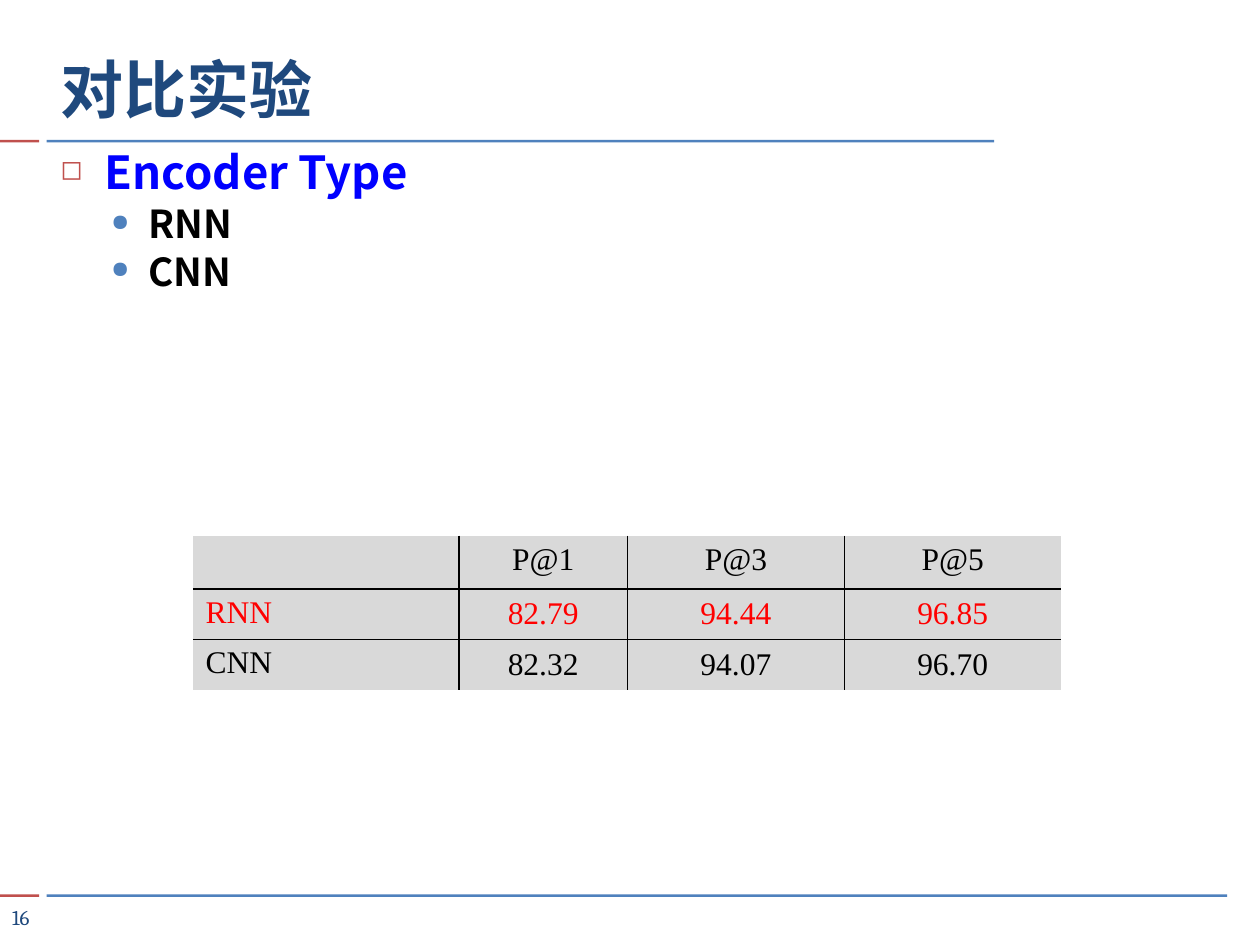
import pptx
import pptx.dml.color
import pptx.enum.shapes
import pptx.enum.text
import pptx.oxml
import pptx.oxml.ns
import pptx.util
import lxml.etree

Cm, Pt = pptx.util.Cm, pptx.util.Pt
ANCHOR = pptx.enum.text.MSO_ANCHOR
CENTER = pptx.enum.text.PP_ALIGN.CENTER
RED, BLUE, NAVY = "C0504D", "4F81BD", "1F497D"
HAN_FONT = "Noto Sans CJK SC"


def color(hex_string):
    return pptx.dml.color.RGBColor.from_string(hex_string)


def add_xml(parent, tag, **attributes):
    return lxml.etree.SubElement(parent, pptx.oxml.ns.qn(tag), **attributes)


def set_font(paragraph, name, size, hex_string, bold=False):
    font = paragraph.font
    font.name, font.size, font.bold = name, Pt(size), bold
    font.color.rgb = color(hex_string)


def add_frame(slide, left, top, width, height, anchor):
    frame = slide.shapes.add_textbox(Cm(left), Cm(top), Cm(width), Cm(height)).text_frame
    frame.word_wrap = True
    frame.vertical_anchor = anchor
    return frame


def add_rule(slide, top, right):
    """Short red bar, then a blue bar that runs to the right end."""
    blue_left = 0.94
    for left, width, fill in ((0, 0.79, RED), (blue_left, right - blue_left, BLUE)):
        bar = slide.shapes.add_shape(
            pptx.enum.shapes.MSO_SHAPE.RECTANGLE, Cm(left), Cm(top), Cm(width), Cm(0.05))
        bar.shadow.inherit = False
        bar.fill.solid()
        bar.fill.fore_color.rgb = color(fill)
        bar.line.fill.background()


def add_title(slide, left, top, width, height, text):
    heading = add_frame(slide, left, top, width, height, ANCHOR.BOTTOM).paragraphs[0]
    run = heading.add_run()
    run.text = text
    set_font(heading, "Cambria", 36, NAVY, bold=True)
    add_xml(run._r.get_or_add_rPr(), "a:ea", typeface=HAN_FONT)


def add_page_number(slide, left, top, width, height, number):
    frame = add_frame(slide, left, top, width, height, ANCHOR.MIDDLE)
    frame.margin_left = frame.margin_right = frame.margin_top = frame.margin_bottom = 0
    page = frame.paragraphs[0]
    page.text = number
    page.alignment = CENTER
    set_font(page, "Cambria", 12, NAVY)


def add_outline(slide, left, top, width, height, items):
    # level: bullet, bullet colour, indent, hanging, size, text colour
    levels = (("◻", RED, 0.89, 0.89, 26, "0000FF"),
              ("●", BLUE, 1.78, 0.76, 22, "000000"))
    frame = add_frame(slide, left, top, width, height, ANCHOR.TOP)
    for index, (level, text) in enumerate(items):
        bullet, bullet_color, indent, hanging, size, text_color = levels[level]
        item = frame.add_paragraph() if index else frame.paragraphs[0]
        item.text = text
        item.level = level
        item.line_spacing = 0.9
        if index:
            item.space_before = Pt(3.5)
        properties = item._p.get_or_add_pPr()
        properties.set("marL", str(Cm(indent)))
        properties.set("indent", str(-Cm(hanging)))
        add_xml(add_xml(properties, "a:buClr"), "a:srgbClr", val=bullet_color)
        add_xml(properties, "a:buSzPct", val="60000")
        add_xml(properties, "a:buChar", char=bullet)
        set_font(item, HAN_FONT, size, text_color, bold=True)


def set_borders(cell, inner_sides):
    """Black lines on the inner sides, none on the outer ones."""
    properties = cell._tc.get_or_add_tcPr()
    for side, inner in inner_sides.items():
        line = add_xml(properties, "a:ln" + side, w=str(Pt(1)))
        if inner:
            add_xml(add_xml(line, "a:solidFill"), "a:srgbClr", val="000000")
        else:
            add_xml(line, "a:noFill")


def add_results(slide, left, top, column_widths, row_heights, rows, best_row):
    table = slide.shapes.add_table(
        len(rows), len(column_widths), Cm(left), Cm(top),
        Cm(sum(column_widths)), Cm(sum(row_heights))).table
    table.first_row = table.horz_banding = False
    for column, width in zip(table.columns, column_widths):
        column.width = Cm(width)
    for r, (values, height) in enumerate(zip(rows, row_heights)):
        table.rows[r].height = Cm(height)
        for c, value in enumerate(values):
            cell = table.cell(r, c)
            set_borders(cell, {"L": c > 0, "R": c < len(values) - 1,
                               "T": r > 0, "B": r < len(rows) - 1})
            cell.fill.solid()
            cell.fill.fore_color.rgb = color("D9D9D9")
            if r and c:
                cell.vertical_anchor = ANCHOR.MIDDLE
            entry = cell.text_frame.paragraphs[0]
            entry.text = value
            if c:
                entry.alignment = CENTER
            set_font(entry, "Times New Roman", 18, "FF0000" if r == best_row else "000000")


def main():
    deck = pptx.Presentation()
    deck.slide_width, deck.slide_height = Cm(25.4), Cm(19.05)
    slide = deck.slides.add_slide(deck.slide_layouts[6])

    # Header and footer
    add_rule(slide, 2.82, 20.04)
    add_rule(slide, 18.03, 24.74)
    add_title(slide, 0.97, 0.46, 18.85, 2.21, "对比实验")
    add_page_number(slide, 0.05, 18.14, 0.74, 0.71, "16")

    # Encoder types and their precision
    add_outline(slide, 0.97, 2.9, 23.37, 5.79,
                [(0, "Encoder Type"), (1, "RNN"), (1, "CNN")])
    add_results(slide, 3.89, 10.8, (5.36, 3.4, 4.37, 4.37), (1.07, 0.97, 0.97),
                [("", "P@1", "P@3", "P@5"),
                 ("RNN", "82.79", "94.44", "96.85"),
                 ("CNN", "82.32", "94.07", "96.70")], best_row=1)

    deck.save("out.pptx")


if __name__ == "__main__":
    main()
